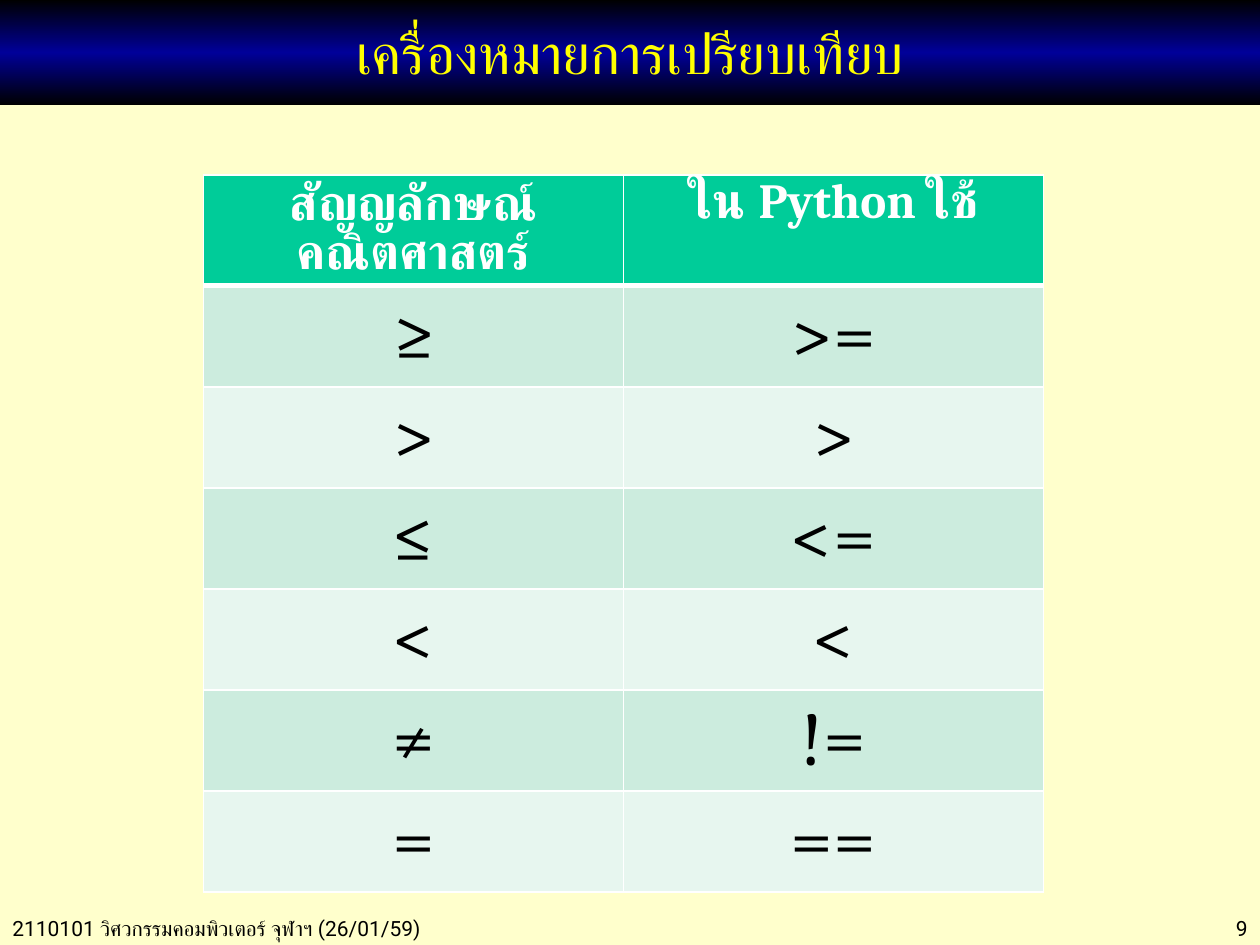
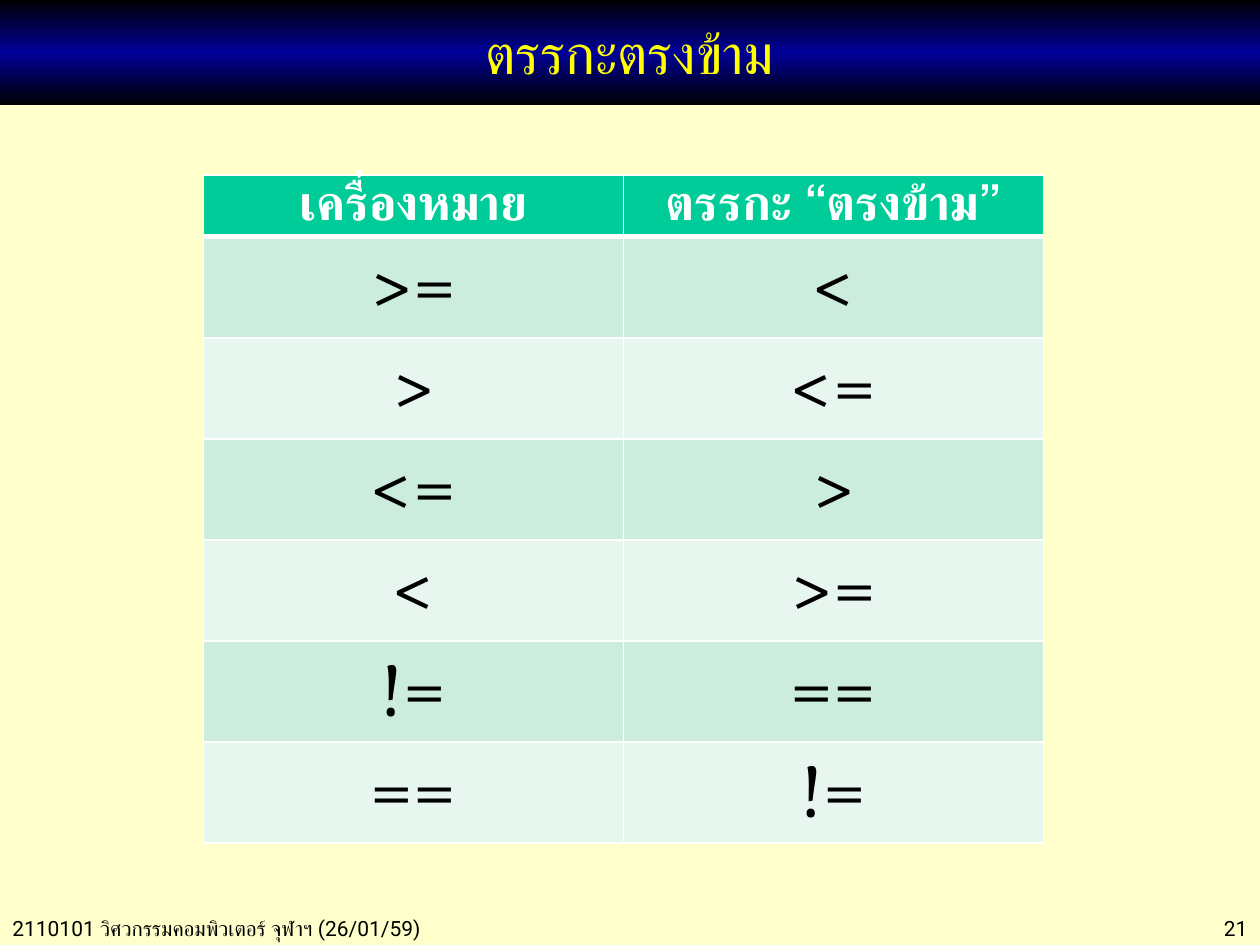
from dataclasses import dataclass

from lxml.etree import SubElement
from pptx import Presentation
from pptx.dml.color import RGBColor
from pptx.enum.shapes import MSO_SHAPE as Shape
from pptx.enum.text import MSO_ANCHOR as Anchor, MSO_AUTO_SIZE as AutoSize, PP_ALIGN as Align
from pptx.oxml.ns import qn
from pptx.slide import Slide
from pptx.util import Cm, Pt

COLORS = {
    "background": "FFFFCC",
    "band_edge": "000000",
    "band_middle": "000099",
    "title": "FFFF00",
    "text": "000000",
    "header": "00CC99",
    "header_text": "FFFFFF",
    "row_dark": "CCECDE",
    "row_light": "E7F6EF",
    "border": "FFFFFF",
}
FONTS = {
    "title": {"name": "Calibri", "size": Pt(32)},
    "footer": {"name": "Roboto", "size": Pt(12)},
    "header": {"name": "Cambria", "size": Pt(28), "bold": True},
    "operator": {"name": "Cambria", "size": Pt(44), "bold": False},
}
# Exact line heights keep the table rows from growing into the footer.
LINE_HEIGHTS = {"header": Pt(28), "operator": Pt(50.5)}
SLIDE_WIDTH, SLIDE_HEIGHT = Cm(25.4), Cm(19.05)
BAND_HEIGHT = Cm(2.12)
FOOTER_TOP, FOOTER_HEIGHT = Cm(18.33), Cm(0.76)
COURSE_WIDTH, NUMBER_WIDTH = Cm(9.9), Cm(3.5)
TABLE_LEFT, TABLE_TOP = Cm(4.1), Cm(3.53)
COLUMN_WIDTH, ROW_HEIGHT = Cm(8.47), Cm(1.04)
THIN, THICK = Pt(1), Pt(3)
COURSE = "2110101 วิศวกรรมคอมพิวเตอร์ จุฬาฯ (26/01/59)"


@dataclass(frozen=True)
class OperatorSlide:
    number: int
    title: str
    headings: tuple[str, str]
    pairs: tuple[tuple[str, str], ...]


OPERATOR_SLIDES = (
    OperatorSlide(
        9,
        "เครื่องหมายการเปรียบเทียบ",
        ("สัญญลักษณ์คณิตศาสตร์", "ใน Python ใช้"),
        (("≥", ">="), (">", ">"), ("≤", "<="), ("<", "<"), ("≠", "!="), ("=", "==")),
    ),
    OperatorSlide(
        21,
        "ตรรกะตรงข้าม",
        ("เครื่องหมาย", "ตรรกะ “ตรงข้าม”"),
        ((">=", "<"), (">", "<="), ("<=", ">"), ("<", ">="), ("!=", "=="), ("==", "!=")),
    ),
)


def rgb(color: str) -> RGBColor:
    return RGBColor.from_string(COLORS[color])


def write(frame, text: str, font: str, color: str, align: Align) -> None:
    paragraph = frame.paragraphs[0]
    paragraph.alignment = align
    paragraph.line_spacing = LINE_HEIGHTS.get(font)
    run = paragraph.add_run()
    run.text = text
    for attribute, value in FONTS[font].items():
        setattr(run.font, attribute, value)
    run.font.color.rgb = rgb(color)


def add_title_band(slide: Slide, title: str) -> None:
    band = slide.shapes.add_shape(Shape.RECTANGLE, 0, 0, SLIDE_WIDTH, BAND_HEIGHT)
    band.shadow.inherit = False
    band.line.fill.background()
    band.fill.gradient()
    band.fill.gradient_angle = 90
    stops = next(band.fill._xPr.iter(qn("a:gsLst")))
    stops.clear()
    for percent, color in ((0, "band_edge"), (50, "band_middle"), (100, "band_edge")):
        stop = SubElement(stops, qn("a:gs"), pos=str(percent * 1000))
        SubElement(stop, qn("a:srgbClr"), val=COLORS[color])
    band.text_frame.vertical_anchor = Anchor.MIDDLE
    write(band.text_frame, title, "title", "title", Align.CENTER)


def add_footer(slide: Slide, number: int) -> None:
    for left, width, text, align in (
        (0, COURSE_WIDTH, COURSE, Align.LEFT),
        (SLIDE_WIDTH - NUMBER_WIDTH, NUMBER_WIDTH, str(number), Align.RIGHT),
    ):
        frame = slide.shapes.add_textbox(left, FOOTER_TOP, width, FOOTER_HEIGHT).text_frame
        frame.word_wrap = True
        frame.auto_size = AutoSize.SHAPE_TO_FIT_TEXT
        write(frame, text, "footer", "text", align)


def add_borders(cell, row: int) -> None:
    """Frame a cell in white, with a thick rule between heading and first row."""
    top = THICK if row == 1 else THIN
    bottom = THICK if row == 0 else THIN
    properties = cell._tc.get_or_add_tcPr()
    for side, width in (("L", THIN), ("R", THIN), ("T", top), ("B", bottom)):
        line = SubElement(properties, qn(f"a:ln{side}"), w=str(int(width)))
        fill = SubElement(line, qn("a:solidFill"))
        SubElement(fill, qn("a:srgbClr"), val=COLORS["border"])


def add_operator_table(slide: Slide, content: OperatorSlide) -> None:
    rows = (content.headings, *content.pairs)
    columns = len(content.headings)
    table = slide.shapes.add_table(
        len(rows), columns, TABLE_LEFT, TABLE_TOP,
        COLUMN_WIDTH * columns, ROW_HEIGHT * len(rows),
    ).table
    for row, texts in enumerate(rows):
        if row == 0:
            font, color, fill = "header", "header_text", "header"
        else:
            font, color, fill = "operator", "text", "row_dark" if row % 2 else "row_light"
        for column, text in enumerate(texts):
            cell = table.cell(row, column)
            add_borders(cell, row)
            cell.fill.solid()
            cell.fill.fore_color.rgb = rgb(fill)
            write(cell.text_frame, text, font, color, Align.CENTER)


def main() -> None:
    deck = Presentation()
    deck.slide_width, deck.slide_height = SLIDE_WIDTH, SLIDE_HEIGHT
    blank = deck.slide_layouts[6]
    for content in OPERATOR_SLIDES:
        slide = deck.slides.add_slide(blank)
        slide.background.fill.solid()
        slide.background.fill.fore_color.rgb = rgb("background")
        add_footer(slide, content.number)
        add_title_band(slide, content.title)
        add_operator_table(slide, content)
    deck.save("out.pptx")


if __name__ == "__main__":
    main()
